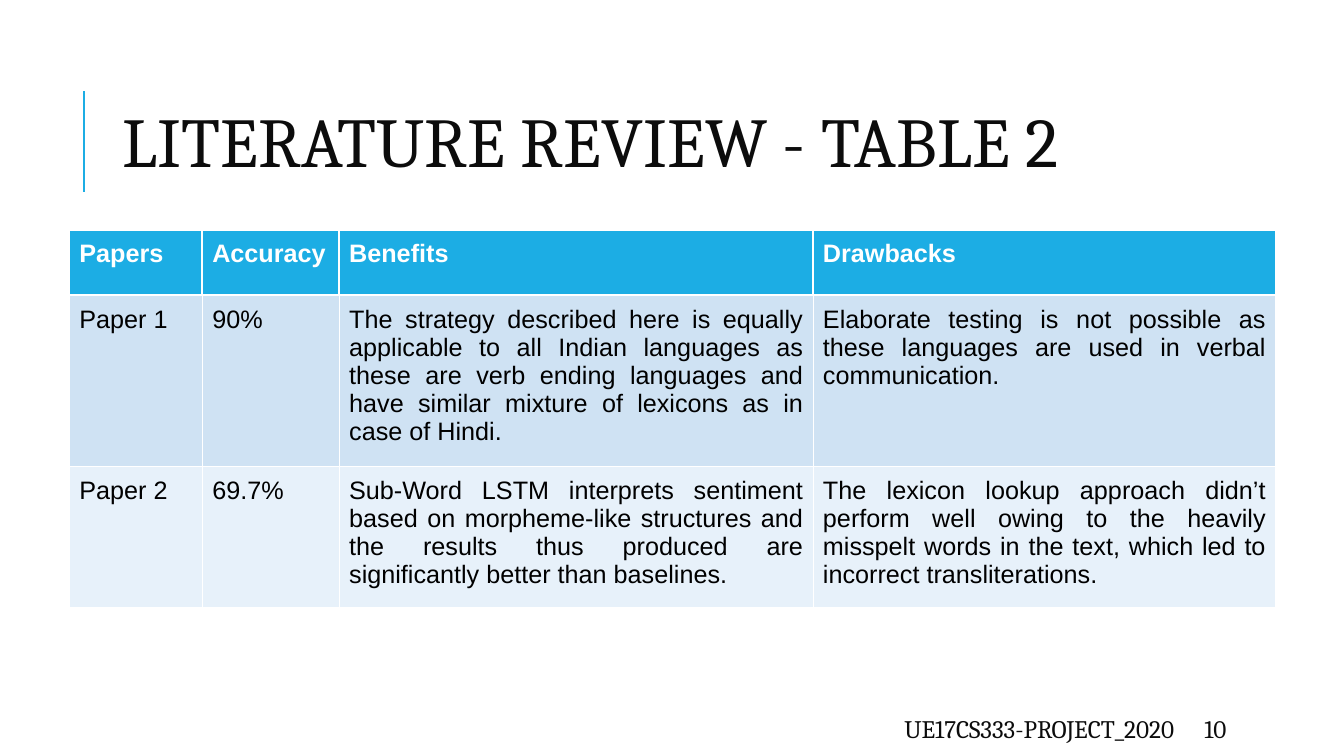
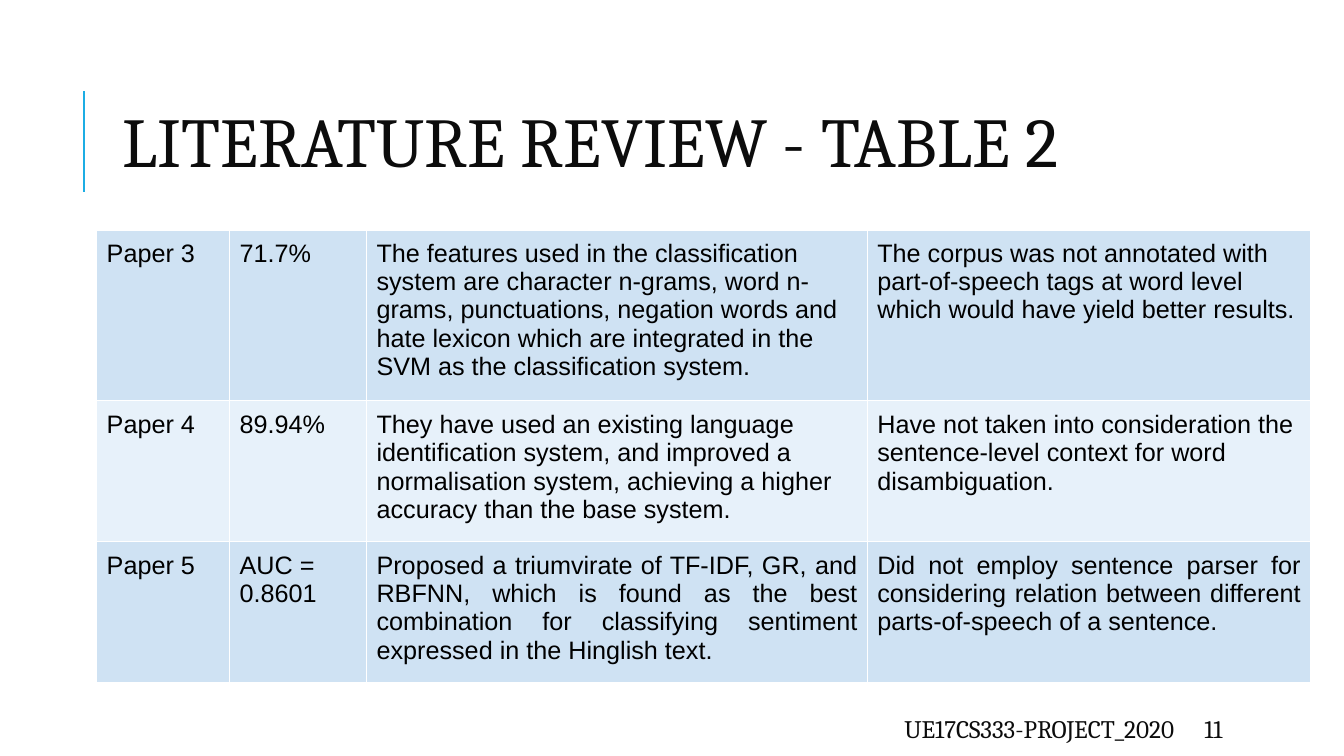
from dataclasses import dataclass

from lxml.etree import SubElement
from pptx import Presentation
from pptx.dml.color import RGBColor as Rgb
from pptx.enum.shapes import MSO_CONNECTOR as Connector
from pptx.enum.text import MSO_ANCHOR as Anchor, PP_ALIGN as Align
from pptx.oxml import parse_xml
from pptx.oxml.ns import nsdecls, qn
from pptx.util import Cm, Pt


@dataclass(frozen=True)
class Theme:
    accent: str = "1CADE4"
    band_dark: str = "CFE2F3"
    band_light: str = "E7F1FA"
    border: str = "FFFFFF"
    ink: str = "0C0C0C"
    body_ink: str = "000000"
    heading_font: str = "Cambria"
    table_font: str = "Arial"
    title_size: int = 50
    text_size: int = 18
    thick: float = 1.5
    thin: float = 0.75


@dataclass(frozen=True)
class Review:
    page: str
    left: float
    widths: tuple
    heights: tuple
    rows: tuple
    justified: tuple
    has_header: bool = False


THEME = Theme()
TITLE = "LITERATURE REVIEW - TABLE 2"
FOOTER = "UE17CS333-PROJECT_2020"
TABLE_TOP = 5.79
CELL_INSET = Cm(0.25)

REVIEWS = (
    Review(
        page="10",
        left=1.75,
        widths=(3.35, 3.45, 11.94, 11.66),
        heights=(1.65, 4.06, 3.56),
        has_header=True,
        justified=(1, 2),
        rows=(
            ("Papers", "Accuracy", "Benefits", "Drawbacks"),
            ("Paper 1", "90%",
             "The strategy described here is equally applicable to all Indian languages as these are "
             "verb ending languages and have similar mixture of lexicons as in case of Hindi.",
             "Elaborate testing is not possible as these languages are used in verbal communication."),
            ("Paper 2", "69.7%",
             "Sub-Word LSTM interprets sentiment based on morpheme-like structures and the results "
             "thus produced are signiﬁcantly better than baselines.",
             "The lexicon lookup approach didn’t perform well owing to the heavily misspelt words in "
             "the text, which led to incorrect transliterations."),
        ),
    ),
    Review(
        page="11",
        left=2.44,
        widths=(3.35, 3.45, 12.62, 11.17),
        heights=(4.06, 3.38, 3.38),
        justified=(2,),
        rows=(
            ("Paper 3", "71.7%",
             "The features used in the classiﬁcation system are character n-grams, word n-grams, "
             "punctuations, negation words and hate lexicon which are integrated in the SVM as the "
             "classiﬁcation system.",
             "The corpus was not annotated with part-of-speech tags at word level which would have "
             "yield better results."),
            ("Paper 4", "89.94%",
             "They have used an existing language identiﬁcation system, and improved a normalisation "
             "system, achieving a higher accuracy than the base system.",
             "Have not taken into consideration the  sentence-level context for word disambiguation."),
            ("Paper 5", "AUC = 0.8601",
             "Proposed a triumvirate of TF-IDF, GR, and RBFNN, which is found as the best combination "
             "for classifying sentiment expressed in the Hinglish text.",
             "Did not employ sentence parser for considering relation between different "
             "parts-of-speech of a sentence."),
        ),
    ),
)


def style_font(font, name, size, color, bold=False):
    font.name = name
    font.size = Pt(size)
    font.color.rgb = Rgb.from_string(color)
    font.bold = bold


def add_label(slide, text, box, size, align=Align.LEFT, line_spacing=1.0):
    frame = slide.shapes.add_textbox(*map(Cm, box)).text_frame
    frame.word_wrap = True
    frame.vertical_anchor = Anchor.MIDDLE
    paragraph = frame.paragraphs[0]
    paragraph.text = text
    paragraph.alignment = align
    paragraph.line_spacing = line_spacing
    style_font(paragraph.font, THEME.heading_font, size, THEME.ink)


def add_frame(slide, page):
    rule = slide.shapes.add_connector(Connector.STRAIGHT, Cm(2.12), Cm(4.83), Cm(2.12), Cm(2.3))
    rule.line.color.rgb = Rgb.from_string(THEME.accent)
    rule.line.width = Pt(THEME.thick)
    SubElement(rule._element.spPr, qn("a:effectLst"))
    add_label(slide, TITLE, (2.84, 1.63, 27, 4.17), THEME.title_size, line_spacing=0.8)
    add_label(slide, FOOTER, (13.46, 17.98, 16.38, 0.76), THEME.text_size, Align.RIGHT)
    add_label(slide, page, (30.1, 17.98, 2.69, 0.76), THEME.text_size)


def set_borders(cell, top, bottom, side):
    properties = cell._tc.get_or_add_tcPr()
    edges = (("lnL", side), ("lnR", side), ("lnT", top), ("lnB", bottom))
    for position, (edge, width) in enumerate(edges):
        properties.insert(position, parse_xml(
            f'<a:{edge} {nsdecls("a")} w="{Pt(width)}"><a:solidFill>'
            f'<a:srgbClr val="{THEME.border}"/></a:solidFill></a:{edge}>'))


def fill_cell(cell, text, fill, color, bold, align):
    cell.fill.solid()
    cell.fill.fore_color.rgb = Rgb.from_string(fill)
    cell.margin_left = cell.margin_right = CELL_INSET
    cell.margin_top = cell.margin_bottom = CELL_INSET
    paragraph = cell.text_frame.paragraphs[0]
    paragraph.text = text
    paragraph.alignment = align
    style_font(paragraph.font, THEME.table_font, THEME.text_size, color, bold)


def add_review_table(slide, review):
    table = slide.shapes.add_table(
        len(review.rows), len(review.widths), Cm(review.left), Cm(TABLE_TOP),
        Cm(sum(review.widths)), Cm(sum(review.heights))).table
    table.first_row = review.has_header
    table.horz_banding = False
    for column, width in zip(table.columns, review.widths):
        column.width = Cm(width)
    for row, height in zip(table.rows, review.heights):
        row.height = Cm(height)

    bands = (THEME.band_dark, THEME.band_light)
    first_paper = int(review.has_header)
    for r, texts in enumerate(review.rows):
        header = r < first_paper
        fill = THEME.accent if header else bands[(r - first_paper) % 2]
        color = THEME.border if header else THEME.body_ink
        edge = THEME.thick if header else THEME.thin
        top = THEME.thick if r <= first_paper else THEME.thin
        for c, text in enumerate(texts):
            align = Align.JUSTIFY if r in review.justified and c >= 2 else Align.LEFT
            cell = table.cell(r, c)
            fill_cell(cell, text, fill, color, header, align)
            set_borders(cell, top, edge, edge)


def main():
    deck = Presentation()
    deck.slide_width, deck.slide_height = Cm(33.87), Cm(19.05)
    for review in REVIEWS:
        slide = deck.slides.add_slide(deck.slide_layouts[6])
        add_frame(slide, review.page)
        add_review_table(slide, review)
    deck.save("out.pptx")


if __name__ == "__main__":
    main()
